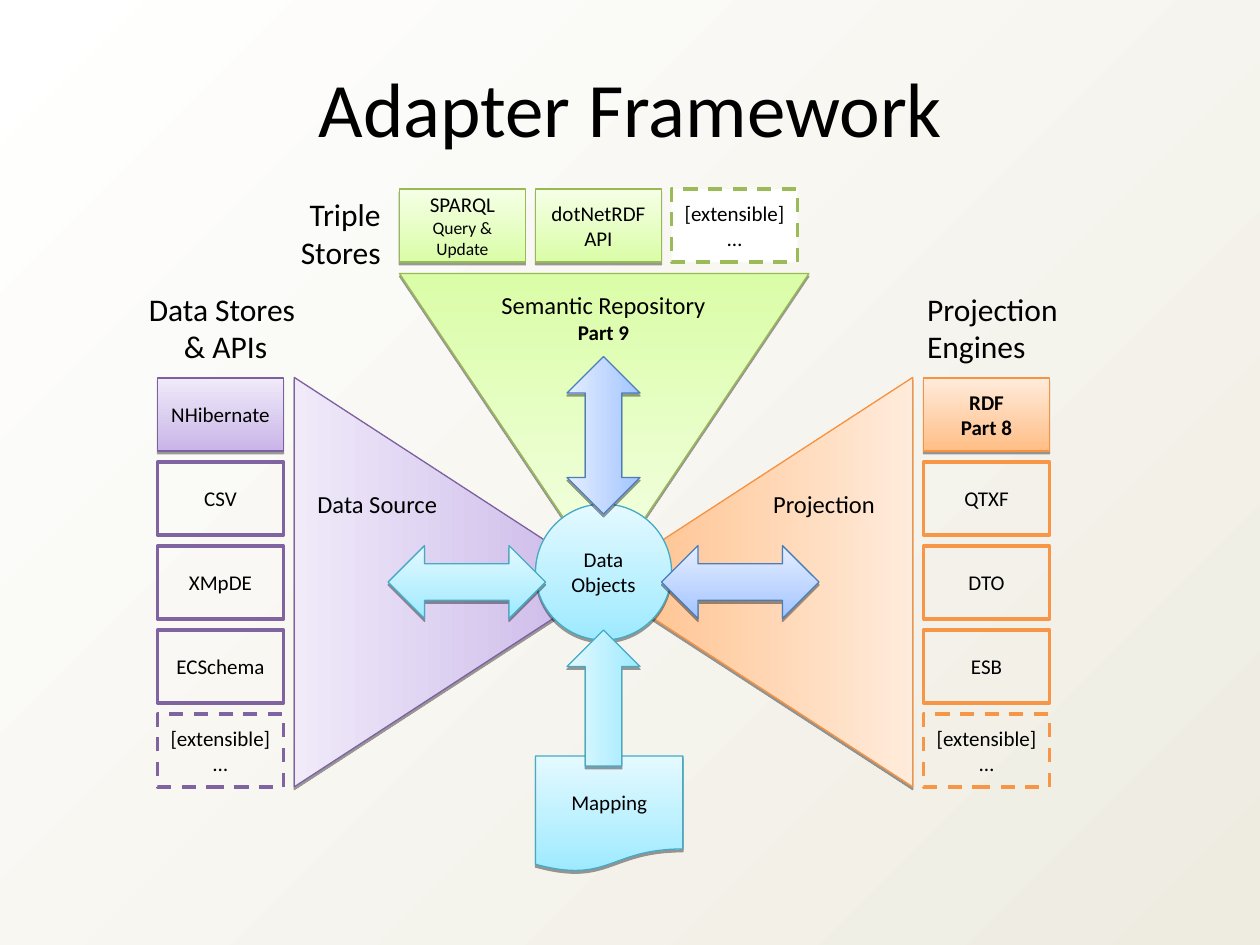
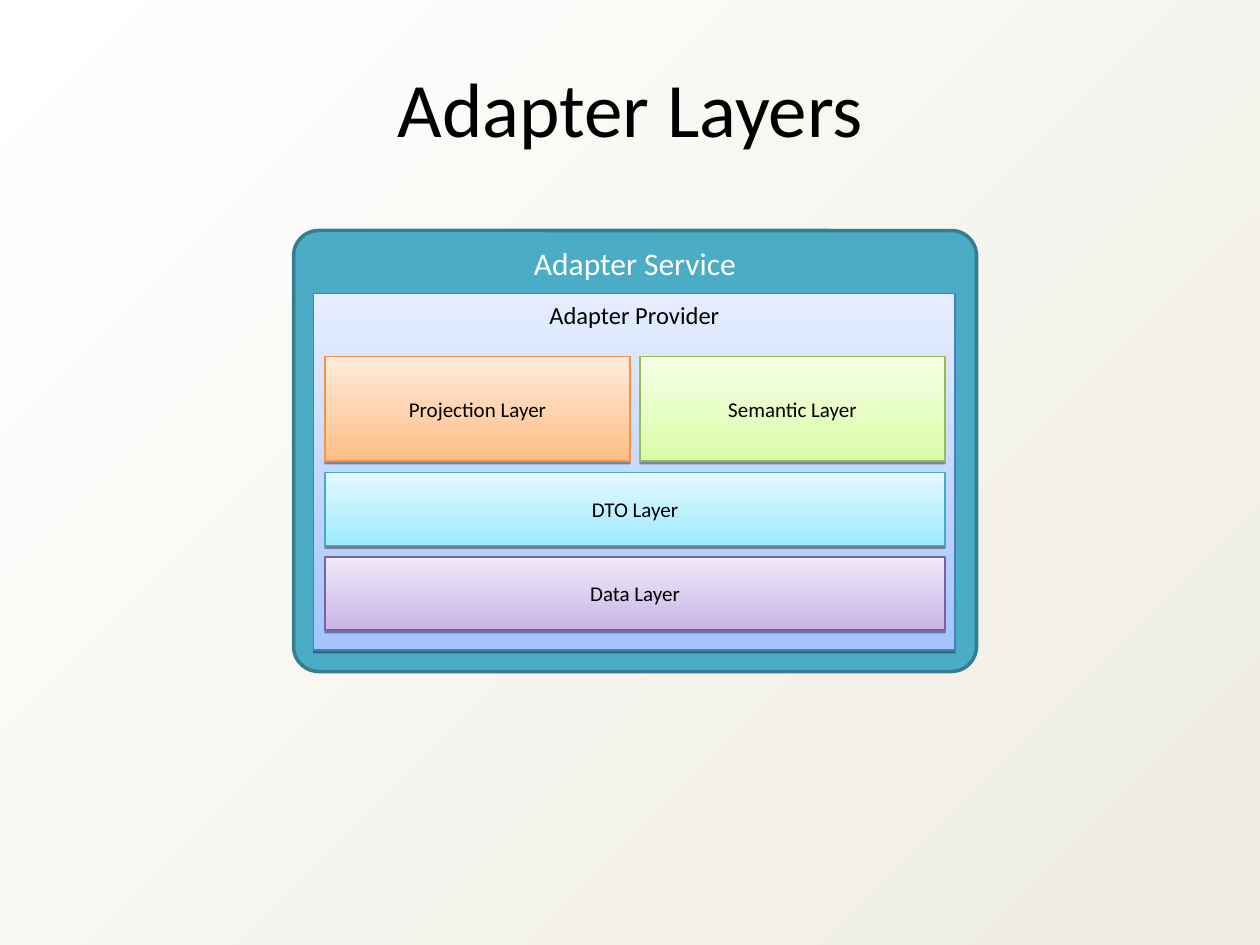
from dataclasses import dataclass
from typing import Optional

import pptx
import pptx.dml.color
import pptx.dml.fill
import pptx.enum.dml
import pptx.enum.shapes
import pptx.enum.text
import pptx.oxml
import pptx.oxml.ns
import pptx.presentation
import pptx.shapes.autoshape
import pptx.slide
import pptx.text.text
import pptx.util
from pptx.dml.color import RGBColor
from pptx.util import Inches

Shape = pptx.enum.shapes.MSO_SHAPE
Align = pptx.enum.text.PP_ALIGN
Anchor = pptx.enum.text.MSO_ANCHOR

FONT = "Calibri"
BLACK = RGBColor(0x00, 0x00, 0x00)
WHITE = RGBColor(0xFF, 0xFF, 0xFF)
SAND = RGBColor(0xEE, 0xEC, 0xE1)
TEAL = RGBColor(0x4B, 0xAC, 0xC6)
DARK_TEAL = RGBColor(0x35, 0x7D, 0x91)

# Clockwise direction of a gradient, from its strong to its pale colour
RIGHT, DOWN, LEFT, UP = 0, 90, 180, 270
DIAGONAL = 45

CELL_WIDTH, CELL_HEIGHT = 1.0, 0.58
ROW_STEP = 2 / 3
COLUMN_STEP = 1.08


@dataclass(frozen=True)
class Palette:
    strong: RGBColor
    pale: RGBColor
    edge: RGBColor
    outline: RGBColor


GREEN = Palette(RGBColor(0xDA, 0xFD, 0xA7), RGBColor(0xF5, 0xFF, 0xE6),
                RGBColor(0x98, 0xB9, 0x54), RGBColor(0x9B, 0xBB, 0x59))
PURPLE = Palette(RGBColor(0xC9, 0xB5, 0xE8), RGBColor(0xF0, 0xEA, 0xF9),
                 RGBColor(0x7D, 0x60, 0xA0), RGBColor(0x80, 0x64, 0xA2))
ORANGE = Palette(RGBColor(0xFF, 0xBE, 0x86), RGBColor(0xFF, 0xEB, 0xDB),
                 RGBColor(0xF6, 0x92, 0x40), RGBColor(0xF7, 0x96, 0x46))
CYAN = Palette(RGBColor(0x9E, 0xEA, 0xFF), RGBColor(0xE4, 0xF9, 0xFF),
               RGBColor(0x46, 0xAA, 0xC5), TEAL)
BLUE = Palette(RGBColor(0xA3, 0xC4, 0xFF), RGBColor(0xE5, 0xEE, 0xFF),
               RGBColor(0x4A, 0x7E, 0xBB), RGBColor(0x4A, 0x7E, 0xBB))


@dataclass(frozen=True)
class Frame:
    left: float
    top: float
    width: float
    height: float

    def lengths(self) -> tuple[int, int, int, int]:
        return (Inches(self.left), Inches(self.top),
                Inches(self.width), Inches(self.height))


@dataclass(frozen=True)
class Label:
    """Text with an optional second part in another size or weight."""
    text: str
    size: int = 12
    bold: bool = False
    color: RGBColor = BLACK
    align: Align = Align.CENTER
    anchor: Anchor = Anchor.MIDDLE
    tail: str = ""
    tail_size: int = 12
    tail_bold: bool = False


@dataclass(frozen=True)
class Block:
    """A glossy shape with gradient, thin edge and hard shadow."""
    frame: Frame
    palette: Palette
    label: Optional[Label] = None
    kind: Shape = Shape.RECTANGLE
    direction: int = UP
    rotation: int = 0


@dataclass(frozen=True)
class Caption:
    frame: Frame
    label: Label
    wrap: bool = True


@dataclass(frozen=True)
class Cell:
    """An outlined box; a dashed one marks an extension point."""
    frame: Frame
    palette: Palette
    text: str
    dashed: bool = False
    filled: bool = False


EXTENSIBLE = "[extensible]\n…"


def write_label(frame: pptx.text.text.TextFrame, label: Label) -> None:
    frame.word_wrap = True
    frame.vertical_anchor = label.anchor
    frame.text = label.text
    for para in frame.paragraphs:
        para.alignment = label.align
        para.font.name = FONT
        para.font.size = pptx.util.Pt(label.size)
        para.font.bold = label.bold
        para.font.color.rgb = label.color
    if label.tail:
        span = frame.paragraphs[-1].add_run()
        span.text = label.tail
        span.font.size = pptx.util.Pt(label.tail_size)
        span.font.bold = label.tail_bold


def set_gradient(fill: pptx.dml.fill.FillFormat, first: RGBColor,
                 last: RGBColor, direction: int) -> None:
    fill.gradient()
    for stop, color, position in zip(fill.gradient_stops, (first, last), (0, 1)):
        stop.color.rgb = color
        stop.position = position
    fill.gradient_angle = -direction % 360


def add_hard_shadow(shape: pptx.shapes.autoshape.Shape) -> None:
    shape.shadow.inherit = False
    effects = shape._element.spPr.find(pptx.oxml.ns.qn("a:effectLst"))
    effects.append(pptx.oxml.parse_xml(
        f'<a:outerShdw {pptx.oxml.ns.nsdecls("a")} blurRad="0" dist="20000" '
        'dir="5400000" rotWithShape="0"><a:srgbClr val="000000">'
        '<a:alpha val="38000"/></a:srgbClr></a:outerShdw>'))


def add_block(page: pptx.slide.Slide, block: Block) -> None:
    shape = page.shapes.add_shape(block.kind, *block.frame.lengths())
    shape.rotation = block.rotation
    set_gradient(shape.fill, block.palette.strong, block.palette.pale,
                 block.direction)
    # Keep the gradient direction fixed to the page when the shape is turned
    gradient = shape._element.spPr.find(pptx.oxml.ns.qn("a:gradFill"))
    gradient.set("rotWithShape", "0")
    shape.line.color.rgb = block.palette.edge
    shape.line.width = pptx.util.Pt(0.75)
    add_hard_shadow(shape)
    if block.label:
        write_label(shape.text_frame, block.label)


def add_cell(page: pptx.slide.Slide, cell: Cell) -> None:
    box = page.shapes.add_shape(Shape.RECTANGLE, *cell.frame.lengths())
    box.shadow.inherit = False
    if cell.filled:
        box.fill.solid()
        box.fill.fore_color.rgb = WHITE
    else:
        box.fill.background()
    box.line.color.rgb = cell.palette.outline
    box.line.width = pptx.util.Pt(2)
    if cell.dashed:
        box.line.dash_style = pptx.enum.dml.MSO_LINE.DASH
    write_label(box.text_frame, Label(cell.text))


def add_caption(page: pptx.slide.Slide, caption: Caption) -> None:
    box = page.shapes.add_textbox(*caption.frame.lengths())
    write_label(box.text_frame, caption.label)
    box.text_frame.word_wrap = caption.wrap


def add_column(page: pptx.slide.Slide, left: float, palette: Palette,
               head: Label, names: list[str]) -> None:
    """Stack a glossy head, the named cells and an extension point."""
    frames = [Frame(left, 3 + row * ROW_STEP, CELL_WIDTH, CELL_HEIGHT)
              for row in range(len(names) + 2)]
    add_block(page, Block(frames[0], palette, head))
    for frame, name in zip(frames[1:], names):
        add_cell(page, Cell(frame, palette, name))
    add_cell(page, Cell(frames[-1], palette, EXTENSIBLE, dashed=True))


def add_page(deck: pptx.presentation.Presentation, title: str) -> pptx.slide.Slide:
    page = deck.slides.add_slide(deck.slide_layouts[5])
    heading = page.shapes.title
    heading.left, heading.top, heading.width, heading.height = Frame(
        0.17, 0.43, 9.67, 0.84).lengths()
    write_label(heading.text_frame, Label(title, 44, anchor=Anchor.TOP))
    return page


def build_framework(deck: pptx.presentation.Presentation) -> None:
    page = add_page(deck, "Adapter Framework")

    wedges = [
        Block(Frame(3.17, 2.17, 3.25, 2.42), GREEN,
              kind=Shape.FLOWCHART_MERGE, direction=DOWN),
        Block(Frame(1.96, 3.37, 3.25, 2.5), PURPLE,
              kind=Shape.ISOSCELES_TRIANGLE, direction=LEFT, rotation=90),
        Block(Frame(4.37, 3.37, 3.25, 2.5), ORANGE,
              kind=Shape.ISOSCELES_TRIANGLE, direction=RIGHT, rotation=270),
    ]
    triple_stores = [
        Label("SPARQL ", tail="Query & Update", tail_size=10),
        Label("dotNetRDF API"),
    ]
    store_frames = [Frame(3.17 + column * COLUMN_STEP, 1.5, CELL_WIDTH, CELL_HEIGHT)
                    for column in range(3)]
    stores = [Block(frame, GREEN, label)
              for frame, label in zip(store_frames, triple_stores)]
    hub = [
        Block(Frame(4.25, 4, 1.08, 1.08), CYAN, Label("Data Objects"), Shape.OVAL),
        Block(Frame(3.08, 4.33, 1.25, 0.58), CYAN, kind=Shape.LEFT_RIGHT_ARROW),
        Block(Frame(5.25, 4.33, 1.25, 0.58), BLUE, kind=Shape.LEFT_RIGHT_ARROW),
        Block(Frame(4.5, 2.83, 0.58, 1.25), BLUE,
              kind=Shape.UP_DOWN_ARROW, direction=LEFT),
        Block(Frame(4.25, 6, 1.17, 0.92), CYAN, Label("Mapping"),
              Shape.FLOWCHART_DOCUMENT),
        Block(Frame(4.5, 5, 0.58, 1.08), CYAN,
              kind=Shape.UP_ARROW, direction=LEFT),
    ]
    for block in wedges + stores + hub:
        add_block(page, block)
    add_cell(page, Cell(store_frames[-1], GREEN, EXTENSIBLE,
                        dashed=True, filled=True))
    add_column(page, 1.25, PURPLE, Label("NHibernate"),
               ["CSV", "XMpDE", "ECSchema"])
    add_column(page, 7.33, ORANGE, Label("RDF\vPart 8", bold=True),
               ["QTXF", "DTO", "ESB"])

    top = Anchor.TOP
    captions = [
        Caption(Frame(3.5, 2.25, 2.58, 0.54),
                Label("Semantic Repository\v", 14, anchor=top,
                      tail="Part 9", tail_bold=True)),
        Caption(Frame(5.83, 3.83, 1.42, 0.34), Label("Projection", 14, anchor=top)),
        Caption(Frame(2.33, 3.83, 1.33, 0.34), Label("Data Source", 14, anchor=top)),
        Caption(Frame(7.26, 2.25, 1.24, 0.7),
                Label("Projection\vEngines", 18, align=Align.LEFT, anchor=top),
                wrap=False),
        Caption(Frame(1.08, 2.25, 1.42, 1),
                Label("Data Stores \v& APIs", 18, anchor=top)),
        Caption(Frame(2.28, 1.5, 0.84, 0.7),
                Label("Triple\vStores", 18, align=Align.RIGHT, anchor=top),
                wrap=False),
    ]
    for caption in captions:
        add_caption(page, caption)


def build_layers(deck: pptx.presentation.Presentation) -> None:
    page = add_page(deck, "Adapter Layers")

    service = page.shapes.add_shape(Shape.ROUNDED_RECTANGLE,
                                    *Frame(2.33, 1.83, 5.42, 3.5).lengths())
    service.adjustments[0] = 0.057
    service.shadow.inherit = False
    service.fill.solid()
    service.fill.fore_color.rgb = TEAL
    service.line.color.rgb = DARK_TEAL
    service.line.width = pptx.util.Pt(2)
    write_label(service.text_frame,
                Label("Adapter Service", 18, color=WHITE, anchor=Anchor.TOP))

    layers = [
        Block(Frame(2.49, 2.33, 5.09, 2.83), BLUE,
              Label("Adapter Provider", 14, anchor=Anchor.TOP)),
        Block(Frame(2.58, 2.83, 2.42, 0.83), ORANGE, Label("Projection Layer")),
        Block(Frame(5.08, 2.83, 2.42, 0.83), GREEN, Label("Semantic Layer")),
        Block(Frame(2.58, 3.75, 4.92, 0.58), CYAN, Label("DTO Layer")),
        Block(Frame(2.58, 4.42, 4.92, 0.58), PURPLE, Label("Data Layer")),
    ]
    for layer in layers:
        add_block(page, layer)


def main() -> None:
    deck = pptx.Presentation()
    deck.slide_width, deck.slide_height = Inches(10), Inches(7.5)
    set_gradient(deck.slide_master.background.fill, WHITE, SAND, DIAGONAL)
    build_framework(deck)
    build_layers(deck)
    deck.save("out.pptx")


if __name__ == "__main__":
    main()
